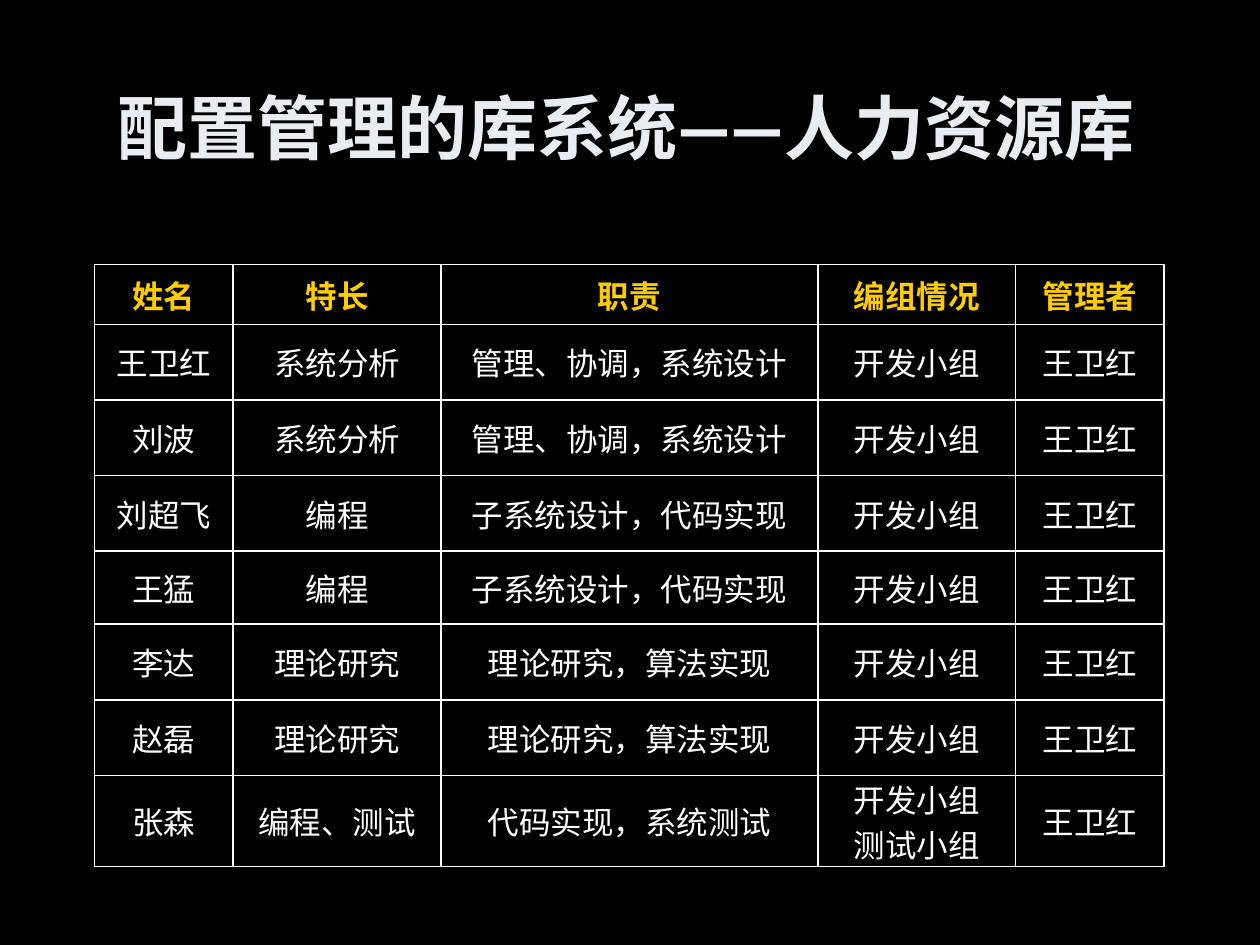
from lxml.etree import SubElement
from pptx import Presentation
from pptx.dml.color import RGBColor
from pptx.enum.text import MSO_ANCHOR, MSO_AUTO_SIZE, PP_ALIGN
from pptx.oxml.ns import qn
from pptx.util import Pt

BLACK = RGBColor(0x00, 0x00, 0x00)
WHITE = RGBColor(0xFF, 0xFF, 0xFF)
GOLD = RGBColor(0xFF, 0xCC, 0x00)
PALE = RGBColor(0xE8, 0xED, 0xF2)
CHINESE = "Noto Sans CJK SC"
LATIN = "Times New Roman"
DASH = "Karla"

TITLE = [("配置管理的库系统", CHINESE), ("——", DASH), ("人力资源库", CHINESE)]
HEADER = ["姓名", "特长", "职责", "编组情况", "管理者"]
GROUP = "开发小组"
MANAGER = "王卫红"
MEMBERS = [
    ("王卫红", "系统分析", "管理、协调，系统设计", GROUP),
    ("刘波", "系统分析", "管理、协调，系统设计", GROUP),
    ("刘超飞", "编程", "子系统设计，代码实现", GROUP),
    ("王猛", "编程", "子系统设计，代码实现", GROUP),
    ("李达", "理论研究", "理论研究，算法实现", GROUP),
    ("赵磊", "理论研究", "理论研究，算法实现", GROUP),
    ("张森", "编程、测试", "代码实现，系统测试", GROUP + "\n测试小组"),
]
COLUMN_WIDTHS = [79.2, 118.8, 215.3, 113, 85]
ROW_HEIGHTS = [34.3, 43.2, 43.2, 43.2, 41.8, 43.2, 43.2, 43.2]


class SlideBuilder:
    title_size = 40
    table_size = 18
    border_width = 1

    def __init__(self, deck):
        self.page = deck.slides.add_slide(deck.slide_layouts[5])
        fill = self.page.background.fill
        fill.solid()
        fill.fore_color.rgb = BLACK

    def add_span(self, para, text, size, color, latin, east_asian, bold):
        span = para.add_run()
        span.text = text
        font = span.font
        font.size = Pt(size)
        font.bold = bold
        font.color.rgb = color
        font.name = latin
        SubElement(font._element, qn("a:ea")).set("typeface", east_asian)

    def add_title(self, parts, left, top, width, height):
        box = self.page.shapes.title
        box.left, box.top = Pt(left), Pt(top)
        box.width, box.height = Pt(width), Pt(height)
        frame = box.text_frame
        frame.word_wrap = True
        frame.auto_size = MSO_AUTO_SIZE.NONE
        frame.vertical_anchor = MSO_ANCHOR.MIDDLE
        frame.margin_top = Pt(12.6)
        para = frame.paragraphs[0]
        para.alignment = PP_ALIGN.LEFT
        para.line_spacing = Pt(48)
        for text, face in parts:
            self.add_span(para, text, self.title_size, PALE, face, face, True)

    def add_borders(self, cell):
        properties = cell._tc.get_or_add_tcPr()
        for index, side in enumerate(("lnL", "lnR", "lnT", "lnB")):
            line = SubElement(properties, qn("a:" + side), w=str(Pt(self.border_width)))
            fill = SubElement(line, qn("a:solidFill"))
            SubElement(fill, qn("a:srgbClr"), val=str(WHITE))
            properties.insert(index, line)

    def fill_cell(self, cell, text, color, bold):
        cell.fill.background()
        cell.vertical_anchor = MSO_ANCHOR.MIDDLE
        cell.margin_left = cell.margin_right = 0
        cell.margin_top = cell.margin_bottom = 0
        self.add_borders(cell)
        frame = cell.text_frame
        for index, line in enumerate(text.split("\n")):
            para = frame.add_paragraph() if index else frame.paragraphs[0]
            para.alignment = PP_ALIGN.CENTER
            self.add_span(para, line, self.table_size, color, LATIN, CHINESE, bold)

    def add_table(self, rows, left, top, widths, heights):
        table = self.page.shapes.add_table(
            len(rows), len(widths), Pt(left), Pt(top), Pt(sum(widths)), Pt(sum(heights))
        ).table
        table.horz_banding = False
        table.first_row = False
        for column, width in zip(table.columns, widths):
            column.width = Pt(width)
        for index, (row, height, texts) in enumerate(zip(table.rows, heights, rows)):
            row.height = Pt(height)
            is_header = index == 0
            for cell, text in zip(row.cells, texts):
                self.fill_cell(cell, text, GOLD if is_header else WHITE, is_header)


def main():
    deck = Presentation()
    deck.slide_width, deck.slide_height = Pt(720), Pt(540)
    builder = SlideBuilder(deck)
    builder.add_title(TITLE, 60, 26, 606, 84)
    rows = [HEADER] + [[*member, MANAGER] for member in MEMBERS]
    builder.add_table(rows, 54, 151, COLUMN_WIDTHS, ROW_HEIGHTS)
    deck.save("out.pptx")


if __name__ == "__main__":
    main()
